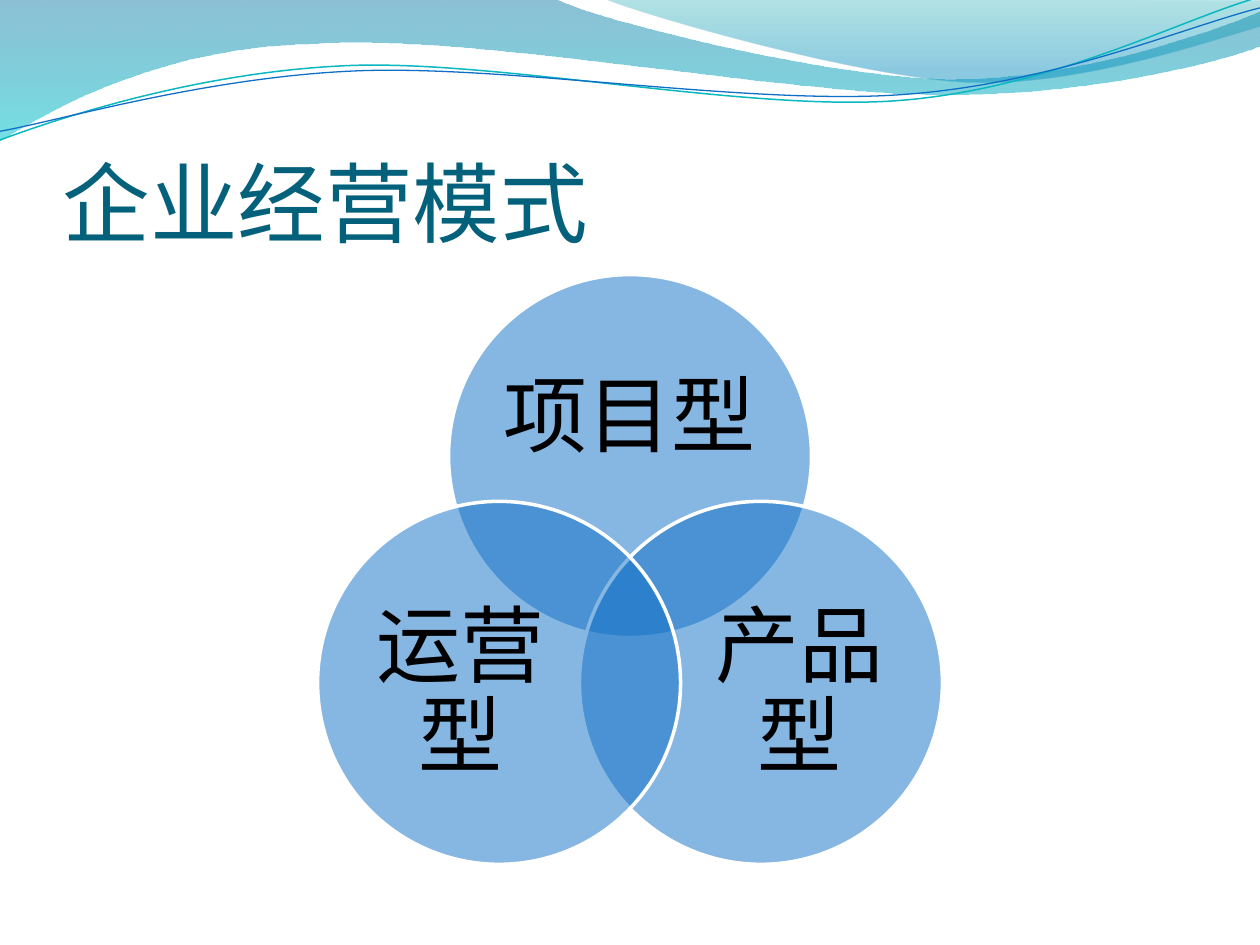
"""Builds a slide with a wave header and a three-circle Venn diagram of business models."""
import math

import pptx
import pptx.dml.color
import pptx.enum.shapes
import pptx.enum.text
import pptx.oxml
import pptx.oxml.ns
import pptx.util

Pt = pptx.util.Pt
RGB = pptx.dml.color.RGBColor
PP_ALIGN = pptx.enum.text.PP_ALIGN
ANCHOR = pptx.enum.text.MSO_ANCHOR

BLUE = RGB(0x0F, 0x6F, 0xC6)
TEAL = RGB(0x0A, 0xB8, 0xBF)
TITLE_COLOR = RGB(0x04, 0x61, 0x7B)
BLACK = RGB(0, 0, 0)
WHITE = RGB(0xFF, 0xFF, 0xFF)
DEEP_BLUE = RGB(0x00, 0x74, 0xA1)
CYAN = RGB(0x00, 0xC6, 0xCF)
SEA_GREEN = RGB(0x00, 0xA1, 0xA9)
SKY_BLUE = RGB(0x00, 0x8B, 0xBF)

TITLE = "企业经营模式"
BANDS = [
    ([(0, 0), (317, -1), (343, 12, 478, 45, 546, 45), (614, 45, 690, 19, 720, 6.5),
      (720.5, 26), (708, 32, 626, 55, 537, 54), (448, 54, 275, 20, 185, 24.5),
      (93, 26, 33, 60, -1, 81), (0, 0)],
     [(0, DEEP_BLUE, 45), (1, CYAN, 55)]),
    ([(345, -1), (366, 8, 491, 44.5, 554, 47), (616, 49.5, 692, 23, 720, 15), (720, 0),
      (345, -1)],
     [(0, SEA_GREEN, 30), (0.8, SKY_BLUE, 45)]),
]
WAVES = [
    ([(0, 80), (35, 67, 114, 41, 199, 37.5), (284, 34, 427, 64, 513, 57.5),
      (600, 51, 675, 11, 719, -1.5)], TEAL, 0.85),
    ([(0, 75), (34, 69, 118, 44, 204, 40.5), (290, 37, 430, 60.5, 516, 54),
      (602, 48, 678, 15, 720, 4.5)], BLUE, 0.75),
]
CIRCLES = [
    ("项目型", -90, (0, -20.8), (152, 93.6)),
    ("产品型", 30, (22, 6.5), (124.6, 113.8)),
    ("运营型", 150, (-22, 6.5), (124.6, 113.8)),
]
CENTER_X, CENTER_Y = 360, 347
ORBIT, DIAMETER = 86.4, 207.4


def add_freeform(shapes, segments, close):
    points = [(Pt(seg[i]), Pt(seg[i + 1])) for seg in segments for i in range(0, len(seg), 2)]
    builder = shapes.build_freeform(*points[0])
    builder.add_line_segments(points[1:], close=close)
    sp = builder.convert_to_shape()
    sp.shadow.inherit = False
    lines = iter(sp._element.spPr.xpath(".//a:lnTo"))
    for seg in segments[1:]:
        steps = [next(lines) for _ in range(len(seg) // 2)]
        if len(steps) == 3:
            curve = pptx.oxml.parse_xml(f'<a:cubicBezTo {pptx.oxml.ns.nsdecls("a")}/>')
            steps[0].addprevious(curve)
            for step in steps:
                curve.append(step[0])
                step.getparent().remove(step)
    return sp


def set_alpha(sp, percents):
    colors = sp._element.spPr.xpath("./a:gradFill//a:srgbClr | ./a:solidFill/a:srgbClr")
    for color, percent in zip(colors, percents):
        alpha = pptx.oxml.parse_xml(
            f'<a:alpha {pptx.oxml.ns.nsdecls("a")} val="{percent * 1000}"/>')
        color.append(alpha)


def add_band(shapes, segments, stops):
    sp = add_freeform(shapes, segments, True)
    sp.line.fill.background()
    sp.fill.gradient()
    sp.fill.gradient_angle = 270
    for stop, (position, color, _) in zip(sp.fill.gradient_stops, stops):
        stop.position = position
        stop.color.rgb = color
    set_alpha(sp, [percent for _, _, percent in stops])


def add_wave(shapes, segments, color, width):
    sp = add_freeform(shapes, segments, False)
    sp.fill.background()
    sp.line.color.rgb = color
    sp.line.width = Pt(width)


def add_text(shapes, text, box, font, size, color, anchor, align, top=0):
    tf = shapes.add_textbox(*map(Pt, box)).text_frame
    tf.word_wrap = True
    tf.vertical_anchor = anchor
    tf.margin_left = tf.margin_right = tf.margin_bottom = 0
    tf.margin_top = Pt(top)
    p = tf.paragraphs[0]
    p.alignment = align
    r = p.add_run()
    r.text = text
    r.font.name = font
    r.font.size = Pt(size)
    r.font.color.rgb = color
    return p


def add_circle(shapes, label, angle, shift, size):
    x = CENTER_X + ORBIT * math.cos(math.radians(angle))
    y = CENTER_Y + ORBIT * math.sin(math.radians(angle))
    sp = shapes.add_shape(pptx.enum.shapes.MSO_SHAPE.OVAL, Pt(x - DIAMETER / 2),
                          Pt(y - DIAMETER / 2), Pt(DIAMETER), Pt(DIAMETER))
    sp.shadow.inherit = False
    sp.fill.solid()
    sp.fill.fore_color.rgb = BLUE
    set_alpha(sp, [50])
    sp.line.color.rgb = WHITE
    sp.line.width = Pt(2)
    width, height = size
    box = (x + shift[0] - width / 2, y + shift[1] - height / 2, width, height)
    p = add_text(shapes, label, box, "TeX Gyre Pagella", 48, BLACK,
                 ANCHOR.MIDDLE, PP_ALIGN.CENTER)
    p.line_spacing = 0.9


def main():
    prs = pptx.Presentation()
    prs.slide_width, prs.slide_height = Pt(720), Pt(540)
    s = prs.slides.add_slide(prs.slide_layouts[6])
    for band in BANDS:
        add_band(s.shapes, *band)
    for wave in WAVES:
        add_wave(s.shapes, *wave)
    add_text(s.shapes, TITLE, (36, 55.4, 648, 90), "Calibri", 50, TITLE_COLOR,
             ANCHOR.BOTTOM, PP_ALIGN.LEFT, top=3.6)
    for circle in CIRCLES:
        add_circle(s.shapes, *circle)
    prs.save("out.pptx")


if __name__ == "__main__":
    main()
